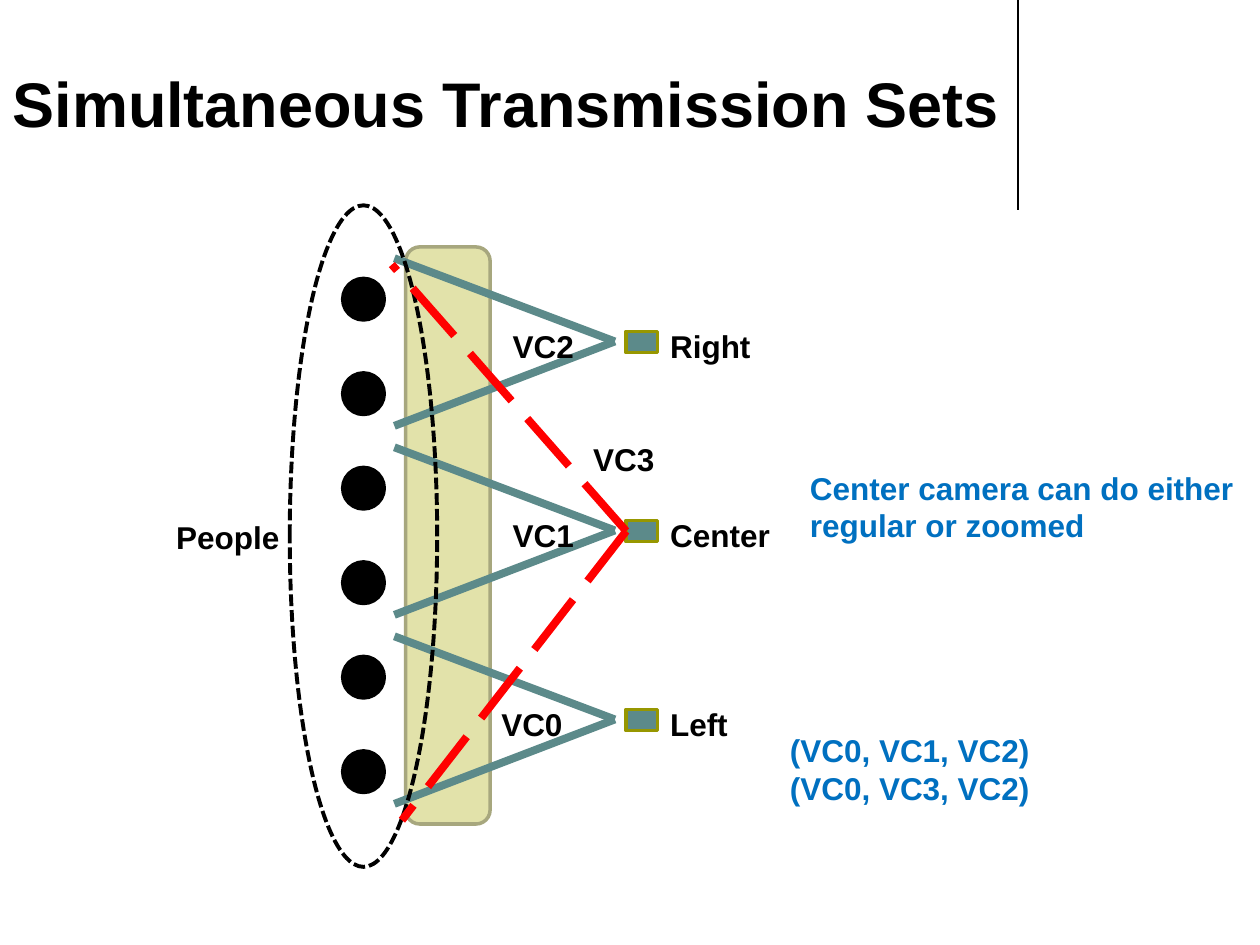
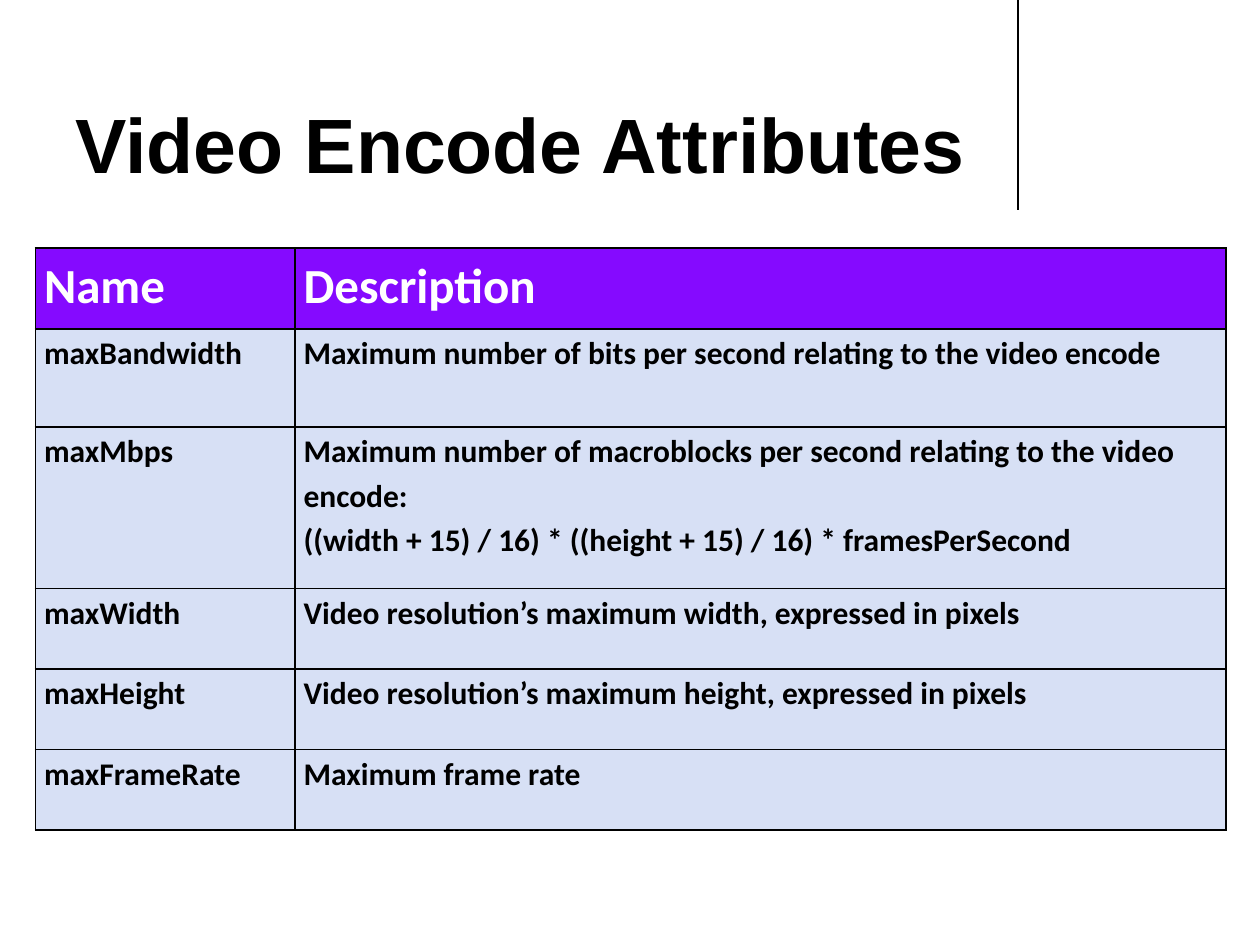
from lxml.etree import SubElement
from pptx import Presentation
from pptx.dml.color import RGBColor
from pptx.enum.dml import MSO_LINE
from pptx.enum.shapes import MSO_CONNECTOR, MSO_SHAPE
from pptx.enum.text import MSO_ANCHOR, MSO_AUTO_SIZE, PP_ALIGN
from pptx.oxml.ns import qn
from pptx.util import Inches, Pt

BLACK, WHITE = "000000", "FFFFFF"
TEAL, OLIVE, RED, BLUE = "5C8A8A", "979700", "FF0000", "0070C0"
SAND, SAND_EDGE = "E2E2AA", "A7A77E"
HEADER_FILL, BODY_FILL = "850AFF", "D7E0F5"

ATTRIBUTES = [
    ("Name", "Description"),
    ("maxBandwidth", "Maximum number of bits per second relating to the video encode"),
    ("maxMbps", "Maximum number of macroblocks per second relating to the video encode:\n"
                "((width + 15) / 16) * ((height + 15) / 16) * framesPerSecond"),
    ("maxWidth", "Video resolution’s maximum width, expressed in pixels"),
    ("maxHeight", "Video resolution’s maximum height, expressed in pixels"),
    ("maxFrameRate", "Maximum frame rate"),
]


def color(hex_string):
    return RGBColor.from_string(hex_string)


def apply(target, values):
    for name, value in values.items():
        setattr(target, name, value)


class Deck:
    def __init__(self):
        self.presentation = Presentation()
        apply(self.presentation, {"slide_width": Inches(10), "slide_height": Inches(7.5)})
        self.slide = None

    def new_slide(self, title, left, width, height, size):
        """Start a slide with its title and the vertical rule beside it."""
        self.slide = self.presentation.slides.add_slide(self.presentation.slide_layouts[5])
        self.line((8.08, 0), (8.08, 1.67), BLACK, 0.75)
        shape = self.slide.shapes.title
        apply(shape, {"left": Inches(left), "top": Inches(0.13),
                      "width": Inches(width), "height": Inches(height)})
        apply(shape.text_frame, {"vertical_anchor": MSO_ANCHOR.BOTTOM, "word_wrap": True,
                                 "auto_size": MSO_AUTO_SIZE.NONE})
        self.fill_text(shape.text_frame, title, size)

    def fill_text(self, frame, text, size=18, text_color=BLACK, font="Arial", spacing=None):
        frame.text = text
        for paragraph in frame.paragraphs:
            apply(paragraph, {"alignment": PP_ALIGN.LEFT, "line_spacing": spacing})
            for run in paragraph.runs:
                apply(run.font, {"name": font, "size": Pt(size), "bold": True})
                run.font.color.rgb = color(text_color)

    def shape(self, kind, left, top, width, height, fill, edge, weight=2, dash=None):
        shape = self.slide.shapes.add_shape(
            kind, Inches(left), Inches(top), Inches(width), Inches(height))
        shape.shadow.inherit = False
        if fill:
            shape.fill.solid()
            shape.fill.fore_color.rgb = color(fill)
        else:
            shape.fill.background()
        self.stroke(shape.line, edge, weight, dash)
        return shape

    def stroke(self, line, line_color, weight, dash):
        line.color.rgb = color(line_color)
        apply(line, {"width": Pt(weight), "dash_style": dash})

    def line(self, start, end, line_color, weight, dash=None):
        connector = self.slide.shapes.add_connector(
            MSO_CONNECTOR.STRAIGHT, *map(Inches, start + end))
        self.stroke(connector.line, line_color, weight, dash)
        SubElement(connector._element.spPr, qn("a:effectLst"))
        return connector

    def label(self, text, left, top, width, height=0.4, text_color=BLACK, wrap=True):
        box = self.slide.shapes.add_textbox(
            Inches(left), Inches(top), Inches(width), Inches(height))
        apply(box.text_frame, {"word_wrap": wrap,
                               "auto_size": MSO_AUTO_SIZE.SHAPE_TO_FIT_TEXT})
        self.fill_text(box.text_frame, text, text_color=text_color)

    def table(self, rows, left, top, widths, heights):
        table = self.slide.shapes.add_table(
            len(rows), len(widths), Inches(left), Inches(top),
            Inches(sum(widths)), Inches(sum(heights))).table
        for column, width in zip(table.columns, widths):
            column.width = Inches(width)
        for index, (texts, height) in enumerate(zip(rows, heights)):
            table.rows[index].height = Inches(height)
            size, text_color, fill = (18, BLACK, BODY_FILL) if index else (28, WHITE, HEADER_FILL)
            for cell, text in zip(table.rows[index].cells, texts):
                apply(cell, {"margin_left": Inches(0.07), "margin_right": Inches(0.07),
                             "margin_top": 0, "margin_bottom": 0})
                self.fill_text(cell.text_frame, text, size, text_color, "Calibri", 1.15)
                self.cell_borders(cell)
                cell.fill.solid()
                cell.fill.fore_color.rgb = color(fill)

    def cell_borders(self, cell):
        properties = cell._tc.get_or_add_tcPr()
        for side in ("lnL", "lnR", "lnT", "lnB"):
            border = SubElement(properties, qn(f"a:{side}"), w=str(Pt(1)))
            SubElement(SubElement(border, qn("a:solidFill")), qn("a:srgbClr"), val=BLACK)


def transmission_slide(deck):
    deck.new_slide("Simultaneous Transmission Sets", 0, 8.5, 1.03, 36)
    deck.shape(MSO_SHAPE.ROUNDED_RECTANGLE, 3.22, 1.96, 0.67, 4.58, SAND, SAND_EDGE)
    for person in range(6):
        deck.shape(MSO_SHAPE.OVAL, 2.72, 2.21 + 0.75 * person, 0.33, 0.33, BLACK, BLACK)

    cameras = {}
    views = [("Right", 0.85, "VC2", 3.97), ("Center", 1, "VC1", 3.97), ("Left", 0.66, "VC0", 3.88)]
    for index, (name, name_width, view, view_left) in enumerate(views):
        middle = 2.71 + 1.5 * index
        cameras[name] = deck.shape(
            MSO_SHAPE.RECTANGLE, 4.97, middle - 0.08, 0.25, 0.17, TEAL, OLIVE)
        for offset in (-0.66, 0.67):
            deck.line((4.88, middle), (3.13, middle + offset), TEAL, 4.5)
        deck.label(name, 5.22, middle - 0.16, name_width, wrap=False)
        deck.label(view, view_left, middle - 0.16, 0.95)

    deck.label("People", 1.3, 4.06, 1.03, wrap=False)
    deck.shape(MSO_SHAPE.OVAL, 2.3, 1.63, 1.17, 5.25, None, BLACK, 2.25, MSO_LINE.SQUARE_DOT)
    for zoom_end in ((3.11, 2.1), (3.19, 6.51)):
        zoom_edge = deck.line((4.97, 4.21), zoom_end, RED, 4.5, MSO_LINE.LONG_DASH)
        zoom_edge.begin_connect(cameras["Center"], 1)
    deck.label("VC3", 4.61, 3.44, 0.89)
    deck.label("Center camera can do either\nregular or zoomed", 6.33, 3.67, 3.67, 0.71, BLUE)
    deck.label("(VC0, VC1, VC2)\n(VC0, VC3, VC2)", 6.17, 5.75, 3.15, 0.71, BLUE)


def attributes_slide(deck):
    deck.new_slide("Video Encode Attributes", 0.5, 7.5, 1.42, 44)
    deck.table(ATTRIBUTES, 0.28, 1.97, (2.06, 7.39), (0.64, 0.78, 1.28, 0.64, 0.64, 0.64))


def main():
    deck = Deck()
    transmission_slide(deck)
    attributes_slide(deck)
    deck.presentation.save("out.pptx")


if __name__ == "__main__":
    main()
